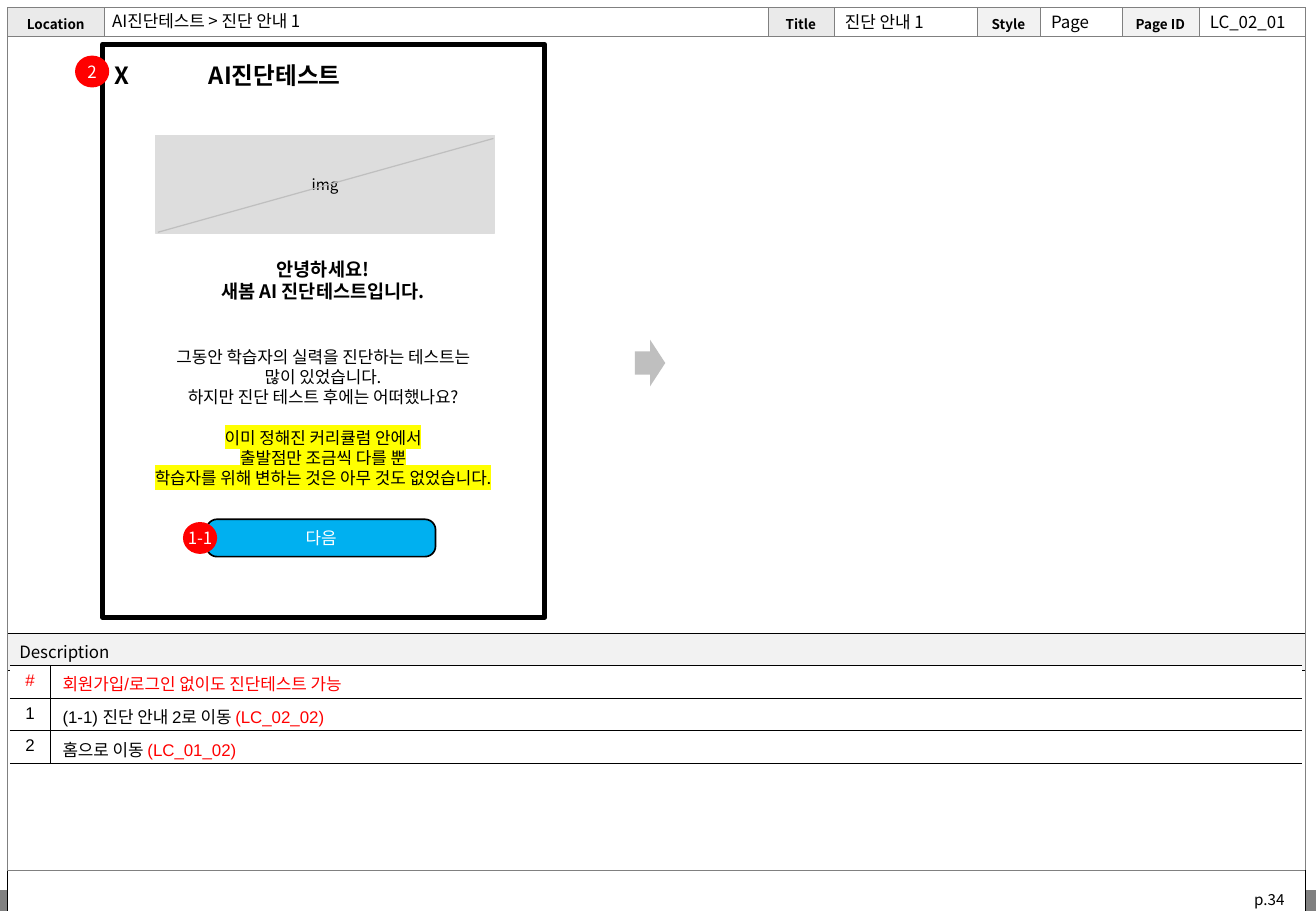
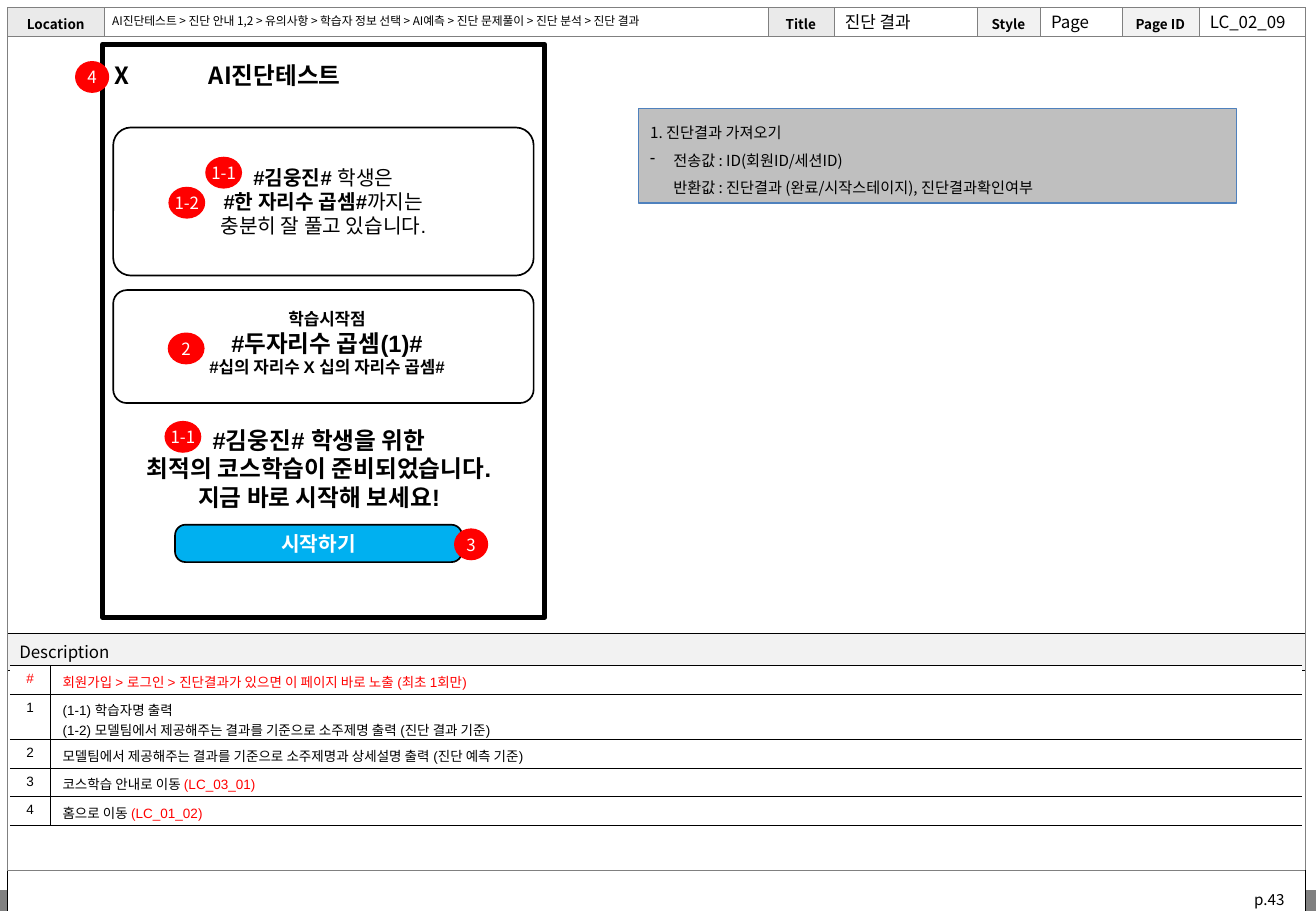
from itertools import accumulate

from lxml import etree
from pptx import Presentation
from pptx.dml.color import RGBColor
from pptx.enum.shapes import MSO_CONNECTOR, MSO_SHAPE
from pptx.enum.text import MSO_ANCHOR, MSO_AUTO_SIZE, PP_ALIGN
from pptx.oxml.ns import qn
from pptx.util import Inches, Pt

RECTANGLE, ROUNDED = MSO_SHAPE.RECTANGLE, MSO_SHAPE.ROUNDED_RECTANGLE
OVAL, ARROW = MSO_SHAPE.OVAL, MSO_SHAPE.RIGHT_ARROW
LEFT, CENTER = PP_ALIGN.LEFT, PP_ALIGN.CENTER
TOP, MIDDLE = MSO_ANCHOR.TOP, MSO_ANCHOR.MIDDLE

NOTO, ARIAL = "Noto Sans CJK KR", "Arial"
BLACK, WHITE, RED, BLUE, YELLOW = "000000", "FFFFFF", "FF0000", "00B0F0", "FFFF00"
GRAY, SILVER, PALE, LABEL, LIGHT = "808080", "BFBFBF", "DDDDDD", "EAEAEA", "F2F2F2"
NOTE_LINE = "4F81BD"

INSET = (0.1, 0.05, 0.1, 0.05)
VALUE_INSET = (0.08, 0, 0, 0)
NO_INSET = (0, 0, 0, 0)
ALL_SIDES = "LRTB"

HEADER_LEFT = 0.55
HEADER_COLUMNS = (7.39, 50.42, 5.01, 10.87, 4.79, 6.23, 5.85, 8.05)
HEADER_EDGES = list(accumulate(HEADER_COLUMNS, initial=HEADER_LEFT))
HEADER_LABELS = {0: ("Location", LABEL), 2: ("Title", LABEL),
                 4: ("Style", LIGHT), 6: ("Page ID", LIGHT)}


def rgb(value):
    return RGBColor.from_string(value)


def styled(content, **style):
    """Attach format overrides to a paragraph (str or list of runs) or to a run."""
    return content, style


def split_style(item):
    return item if isinstance(item, tuple) else (item, {})


def add_run(paragraph, text, size=10, color=BLACK, bold=False, font=NOTO, highlight=None):
    run = paragraph.add_run()
    run.text = text
    run.font.size, run.font.bold = Pt(size), bold
    run.font.color.rgb = rgb(color)
    properties = run.font._element
    if highlight:
        marker = etree.SubElement(properties, qn("a:highlight"))
        etree.SubElement(marker, qn("a:srgbClr"), val=highlight)
    run.font.name = font
    etree.SubElement(properties, qn("a:ea"), typeface=NOTO)


def write_paragraph(paragraph, content, align=LEFT, before=0, spacing=None,
                    bullet=None, indent=0.19, tab=None, **run_style):
    paragraph.alignment = align
    paragraph.space_before = Pt(before)
    if spacing:
        paragraph.line_spacing = spacing
    properties = paragraph._p.get_or_add_pPr()
    if bullet:
        properties.set("marL", str(Inches(indent)))
        properties.set("indent", str(-Inches(indent)))
        etree.SubElement(properties, qn("a:buChar"), char=bullet)
    if tab:
        stops = etree.SubElement(properties, qn("a:tabLst"))
        etree.SubElement(stops, qn("a:tab"), pos=str(Inches(tab)), algn="l")
    if not content:
        size = run_style.get("size", 10)
        paragraph._p.get_or_add_endParaRPr().set("sz", str(size * 100))
        return
    for item in content if isinstance(content, list) else [content]:
        text, own = split_style(item)
        for number, line in enumerate(text.split("\v")):
            if number:
                paragraph.add_line_break()
            add_run(paragraph, line, **{**run_style, **own})


def write(holder, *paragraphs, anchor=MIDDLE, inset=INSET, **style):
    """Fill a table cell or a text frame; each paragraph may override the style."""
    holder.vertical_anchor = anchor
    (holder.margin_left, holder.margin_top,
     holder.margin_right, holder.margin_bottom) = map(Inches, inset)
    frame = getattr(holder, "text_frame", holder)
    for number, item in enumerate(paragraphs):
        paragraph = frame.add_paragraph() if number else frame.paragraphs[0]
        content, own = split_style(item)
        write_paragraph(paragraph, content, **{**style, **own})


def paint_cell(cell, fill, sides, color):
    properties = cell._tc.get_or_add_tcPr()
    for side in ALL_SIDES:
        border = etree.SubElement(properties, qn(f"a:ln{side}"), w=str(Pt(0.25)))
        if side in sides:
            solid = etree.SubElement(border, qn("a:solidFill"))
            etree.SubElement(solid, qn("a:srgbClr"), val=color)
        else:
            etree.SubElement(border, qn("a:noFill"))
    if fill:
        cell.fill.solid()
        cell.fill.fore_color.rgb = rgb(fill)
    else:
        cell.fill.background()


class Storyboard:
    """Draws storyboard pages; every length is a percentage of the slide's size."""

    def __init__(self):
        self.presentation = Presentation()
        self.presentation.slide_width = Inches(10.83)
        self.presentation.slide_height = Inches(7.5)
        self.slide = None

    def across(self, share):
        return round(self.presentation.slide_width * share / 100)

    def down(self, share):
        return round(self.presentation.slide_height * share / 100)

    def place(self, left, top, width, height):
        return self.across(left), self.down(top), self.across(width), self.down(height)

    def shape(self, kind, area, *paragraphs, fill=None, line=None, weight=1,
              corner=None, wrap=True, align=CENTER, **style):
        shape = self.slide.shapes.add_shape(kind, *self.place(*area))
        shape.shadow.inherit = False
        if corner:
            shape.adjustments[0] = corner
        if fill:
            shape.fill.solid()
            shape.fill.fore_color.rgb = rgb(fill)
        else:
            shape.fill.background()
        if line:
            shape.line.color.rgb = rgb(line)
            shape.line.width = Pt(weight)
        else:
            shape.line.fill.background()
        if paragraphs:
            shape.text_frame.word_wrap = wrap
            write(shape.text_frame, *paragraphs, align=align, **style)

    def text(self, area, *paragraphs, **style):
        frame = self.slide.shapes.add_textbox(*self.place(*area)).text_frame
        frame.word_wrap = True
        write(frame, *paragraphs, **style)

    def line(self, start, end, color, weight):
        connector = self.slide.shapes.add_connector(
            MSO_CONNECTOR.STRAIGHT, *self.place(*start, *end))
        connector.line.color.rgb = rgb(color)
        connector.line.width = Pt(weight)
        etree.SubElement(connector._element.spPr, qn("a:effectLst"))

    def table(self, left, top, columns, rows):
        area = self.place(left, top, sum(columns), sum(rows))
        table = self.slide.shapes.add_table(len(rows), len(columns), *area).table
        table.first_row = table.horz_banding = False
        for column, width in zip(table.columns, columns):
            column.width = self.across(width)
        for row, height in zip(table.rows, rows):
            row.height = self.down(height)
        return table

    def badge(self, label, left, top, width=2.8):
        self.shape(OVAL, (left, top, width, 3.5), label, fill=RED, color=WHITE,
                   inset=NO_INSET, wrap=False)

    def button(self, area, label, **style):
        self.shape(ROUNDED, area, label, fill=BLUE, line=BLACK, corner=0.28,
                   color=WHITE, **style)

    def card(self, top, height, *paragraphs):
        self.shape(ROUNDED, (8.6, top, 31.95, height), *paragraphs, fill=WHITE, line=BLACK,
                   corner=0.12, inset=NO_INSET, wrap=False, size=12, font=ARIAL)

    def header_table(self):
        table = self.table(HEADER_LEFT, 0.8, HEADER_COLUMNS, (3.2, 91.5))
        for number, cell in enumerate(table.rows[0].cells):
            label, fill = HEADER_LABELS.get(number, ("", None))
            paint_cell(cell, fill, ALL_SIDES, GRAY)
            write(cell, label, size=8, bold=True, align=CENTER, inset=(0.05, 0.04, 0.05, 0.01))
        for cell in table.rows[1].cells:
            paint_cell(cell, None, ALL_SIDES, GRAY)
        table.cell(1, 0).merge(table.cell(1, len(HEADER_COLUMNS) - 1))

    def page(self, location, title, page_id, number, location_size=10):
        """Start a slide with the header, phone frame, description area and footer."""
        self.slide = self.presentation.slides.add_slide(self.presentation.slide_layouts[5])
        self.shape(RECTANGLE, (0, 97.7, 100, 2.3), fill=GRAY)
        description = self.table(HEADER_LEFT, 69.5, (sum(HEADER_COLUMNS),), (4.1, 26.4))
        for row, (label, fill) in enumerate((("Description", LIGHT), ("", WHITE))):
            cell = description.cell(row, 0)
            paint_cell(cell, fill, ALL_SIDES, BLACK)
            write(cell, label, anchor=TOP)
        self.shape(RECTANGLE, (7.8, 4.87, 33.6, 62.9), line=BLACK, weight=3)
        self.header_table()
        self.text((94.4, 97.1, 5.6, 3.3), f"p.{number}", size=9, anchor=TOP)

        heading = self.slide.shapes.title
        heading.left, heading.top, heading.width, heading.height = self.place(
            HEADER_EDGES[1] - 0.15, 0.7, HEADER_COLUMNS[1], 3.1)
        heading.text_frame.auto_size = MSO_AUTO_SIZE.NONE
        write(heading.text_frame, location, size=location_size, inset=VALUE_INSET)
        for column, value in ((3, title), (5, "Page"), (7, page_id)):
            self.text((HEADER_EDGES[column] + 0.1, 0.9, HEADER_COLUMNS[column], 2.9),
                      value, inset=VALUE_INSET)
        self.shape(RECTANGLE, (8.3, 5.5, 32.8, 4.1), "X\tAI진단테스트", fill=WHITE, align=LEFT,
                   size=14, bold=True, tab=0.78, inset=(0.04, 0.11, 0, 0))

    def descriptions(self, items, size, row_height, tall_height=None):
        """List (mark, paragraphs) items; an item of several paragraphs gets a tall row."""
        heights = [tall_height if len(lines) > 1 else row_height for _, lines in items]
        table = self.table(0.75, 73.05, (3.08, 95.1), heights)
        for row, (mark, lines) in enumerate(items):
            color = RED if mark == "#" else BLACK
            contents = (([mark], CENTER, "RTB"), (lines, LEFT, "LTB"))
            for column, (paragraphs, align, sides) in enumerate(contents):
                cell = table.cell(row, column)
                paint_cell(cell, WHITE, sides, BLACK)
                write(cell, *paragraphs, size=size, font=ARIAL, color=color, align=align,
                      anchor=TOP, inset=(0.1, 0.05, 0.1, 0))


def build_guide(board):
    board.page("AI진단테스트 > 진단 안내 1", "진단 안내 1", "LC_02_01", 34)
    board.shape(
        RECTANGLE, (9.9, 27.1, 29.3, 30.1),
        styled("안녕하세요!", size=11, bold=True),
        styled("새봄 AI 진단테스트입니다.", size=11, bold=True),
        styled("그동안 학습자의 실력을 진단하는 테스트는", before=26),
        "많이 있었습니다.",
        "하지만 진단 테스트 후에는 어떠했나요?",
        styled("이미 정해진 커리큘럼 안에서", before=12, highlight=YELLOW),
        styled("출발점만 조금씩 다를 뿐", highlight=YELLOW),
        styled("학습자를 위해 변하는 것은 아무 것도 없었습니다.", highlight=YELLOW),
        fill=WHITE, anchor=TOP, inset=(0.04, 0.09, 0.04, 0.04))
    board.descriptions([
        ("#", ["회원가입/로그인 없이도 진단테스트 가능"]),
        ("1", [["(1-1) 진단 안내 2로 이동 ", styled("(LC_02_02)", color=RED)]]),
        ("2", [["홈으로 이동 ", styled("(LC_01_02)", color=RED)]]),
    ], size=10, row_height=3.57)
    board.badge("2", 5.7, 6.1, width=2.6)
    board.shape(RECTANGLE, (11.8, 14.9, 25.8, 10.7), "img", fill=PALE, line=PALE,
                weight=0.75, size=9, wrap=False)
    board.line((12, 25.5), (37.5, 15.2), SILVER, 0.75)
    board.button((15.7, 57, 17.4, 4.1), "다음")
    board.badge("1-1", 13.9, 57.3, width=2.6)
    board.shape(ARROW, (48.25, 37.3, 2.3, 5.1), fill=SILVER)


def build_result(board):
    board.page("AI진단테스트 > 진단 안내 1,2 > 유의사항 > 학습자 정보 선택 > AI예측 > "
               "진단 문제풀이 > 진단 분석 > 진단 결과", "진단 결과", "LC_02_09", 43, location_size=7)
    board.card(31.85, 12.4)
    board.card(14, 16.25,
               [styled("#김웅진#", bold=True), " 학생은"],
               [styled("#한 자리수 곱셈#", bold=True), "까지는"],
               "충분히 잘 풀고 있습니다.")
    caption = dict(align=CENTER, anchor=TOP, font=ARIAL, bold=True)
    board.text((8, 46.1, 32.5, 10.8), "#김웅진# 학생을 위한", "최적의 코스학습이 준비되었습니다.",
               "지금 바로 시작해 보세요!", size=14, **caption)
    board.text((8.6, 33.2, 32.5, 12.1), "학습시작점", styled("#두자리수 곱셈(1)#", size=14),
               "#십의 자리수 X 십의 자리수 곱셈#", **caption)
    board.descriptions([
        ("#", ["회원가입 > 로그인 > 진단결과가 있으면 이 페이지 바로 노출 (최초 1회만)"]),
        ("1", ["(1-1) 학습자명 출력",
               "(1-2) 모델팀에서 제공해주는 결과를 기준으로 소주제명 출력 (진단 결과 기준)"]),
        ("2", ["모델팀에서 제공해주는 결과를 기준으로 소주제명과 상세설명 출력 (진단 예측 기준)"]),
        ("3", [["코스학습 안내로 이동 ", styled("(LC_03_01)", color=RED)]]),
        ("4", [["홈으로 이동 ", styled("(LC_01_02)", color=RED)]]),
    ], size=8, row_height=3.13, tall_height=5)
    board.button((13.3, 57.6, 21.8, 4.1), "시작하기", size=12, bold=True, font=ARIAL)
    for label, left, top in (("1-1", 15.6, 17.2), ("1-2", 12.8, 20.5),
                             ("2", 12.75, 36.5), ("1-1", 12.5, 46.2)):
        board.badge(label, left, top)
    for label, left, top in (("4", 5.7, 6.7), ("3", 34.5, 58)):
        board.badge(label, left, top, width=2.6)
    board.shape(
        RECTANGLE, (48.5, 11.9, 45.45, 10.4),
        "1. 진단결과 가져오기",
        styled("전송값 : ID(회원ID/세션ID)\v반환값 : 진단결과 (완료/시작스테이지), 진단결과확인여부", bullet="-"),
        fill=SILVER, line=NOTE_LINE, weight=0.75, align=LEFT, anchor=TOP, size=9, spacing=1.5)


def main():
    board = Storyboard()
    build_guide(board)
    build_result(board)
    board.presentation.save("out.pptx")


if __name__ == "__main__":
    main()
